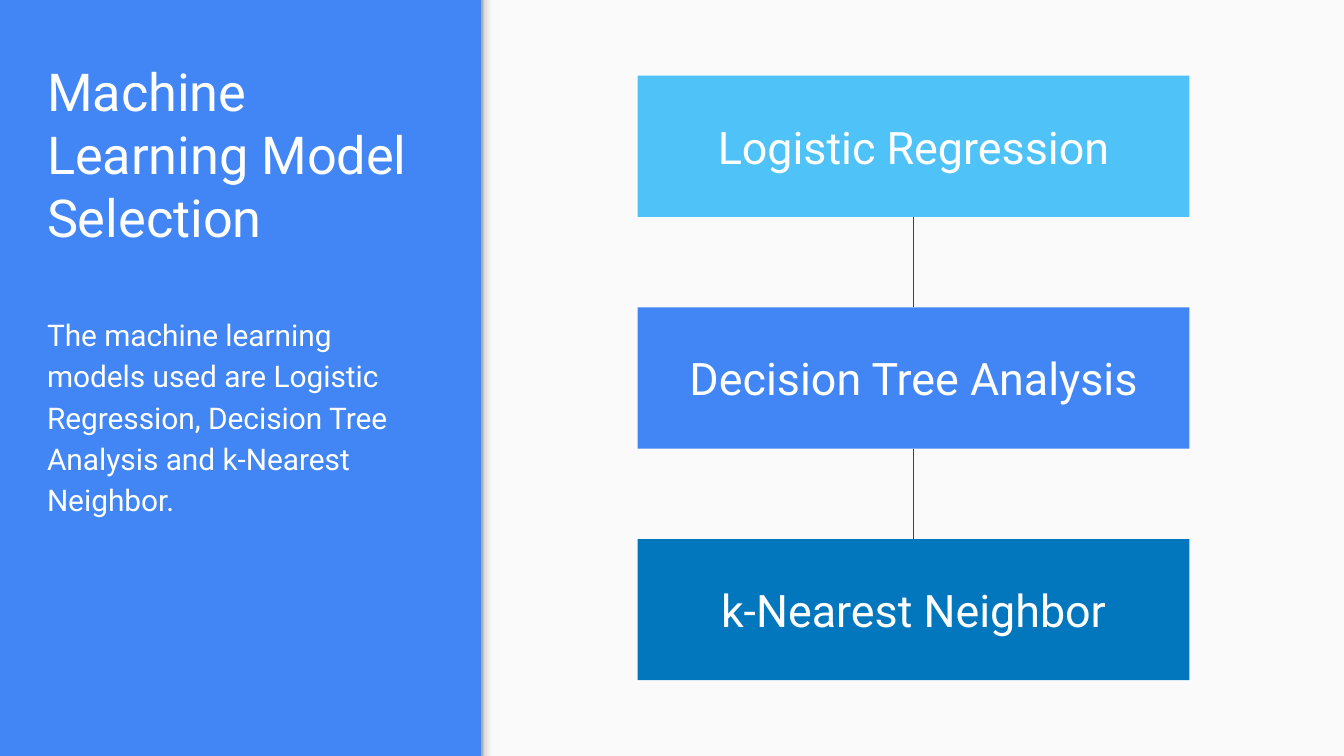
import pptx
import pptx.dml.color
import pptx.enum.shapes
import pptx.enum.text
import pptx.oxml
import pptx.oxml.ns
import pptx.util
from lxml import etree

Cm = pptx.util.Cm
Pt = pptx.util.Pt
RGBColor = pptx.dml.color.RGBColor
Anchor = pptx.enum.text.MSO_ANCHOR
Align = pptx.enum.text.PP_ALIGN
qn = pptx.oxml.ns.qn

BLUE = RGBColor(0x42, 0x85, 0xF4)
LIGHT_BLUE = RGBColor(0x4F, 0xC3, 0xF7)
DARK_BLUE = RGBColor(0x02, 0x77, 0xBD)
PAPER = RGBColor(0xFA, 0xFA, 0xFA)
WHITE = RGBColor(0xFF, 0xFF, 0xFF)
CHARCOAL = RGBColor(0x42, 0x42, 0x42)
EDGE_NEAR = RGBColor(0x99, 0x99, 0x99)
EDGE_MID = RGBColor(0xDE, 0xDE, 0xDE)
EDGE_FAR = RGBColor(0xF9, 0xF9, 0xF9)

WIDTH, HEIGHT = 25.4, 14.29
PANEL_WIDTH = 9.1
MODEL_LEFT, MODEL_TOP = 12.05, 1.43
MODEL_WIDTH, MODEL_HEIGHT = 10.43, 2.67
MODEL_PITCH = 4.38


class SlideBuilder:
    font = "Roboto"
    inset = Cm(0.25)

    def __init__(self, slide):
        self.slide = slide

    def background(self, color):
        fill = self.slide.background.fill
        fill.solid()
        fill.fore_color.rgb = color

    def rectangle(self, left, top, width, height, color):
        box = self.slide.shapes.add_shape(
            pptx.enum.shapes.MSO_SHAPE.RECTANGLE,
            Cm(left), Cm(top), Cm(width), Cm(height))
        box.shadow.inherit = False
        box.fill.solid()
        box.fill.fore_color.rgb = color
        box.line.fill.background()
        return box

    def gradient_strip(self, left, top, width, height, stops):
        strip = self.rectangle(left, top, width, height, stops[0][1])
        strip.fill.gradient()
        strip.fill.gradient_angle = 0
        stop_list = strip.element.spPr.find(".//" + qn("a:gsLst"))
        for default_stop in list(stop_list):
            stop_list.remove(default_stop)
        for percent, color in stops:
            stop = etree.SubElement(stop_list, qn("a:gs"), pos=str(percent * 1000))
            etree.SubElement(stop, qn("a:srgbClr"), val=str(color))

    def set_text(self, box, text, size, anchor, align=Align.LEFT):
        frame = box.text_frame
        frame.word_wrap = True
        frame.vertical_anchor = anchor
        frame.margin_left = frame.margin_right = self.inset
        frame.margin_top = frame.margin_bottom = self.inset
        paragraph = frame.paragraphs[0]
        paragraph.text = text
        paragraph.alignment = align
        paragraph.font.name = self.font
        paragraph.font.size = Pt(size)
        paragraph.font.color.rgb = WHITE
        return paragraph

    def text(self, left, top, width, height, text, size, anchor):
        box = self.slide.shapes.add_textbox(Cm(left), Cm(top), Cm(width), Cm(height))
        return self.set_text(box, text, size, anchor)

    def model(self, top, name, color):
        box = self.rectangle(MODEL_LEFT, top, MODEL_WIDTH, MODEL_HEIGHT, color)
        self.set_text(box, name, 24, Anchor.MIDDLE, Align.CENTER)
        return box

    def link(self, upper, lower):
        line = self.slide.shapes.add_connector(
            pptx.enum.shapes.MSO_CONNECTOR.STRAIGHT, 0, 0, 0, 0)
        line.begin_connect(upper, 2)
        line.end_connect(lower, 0)
        line.line.color.rgb = CHARCOAL
        line.line.width = Pt(0.75)
        etree.SubElement(line.element.spPr, qn("a:effectLst"))


def main():
    deck = pptx.Presentation()
    deck.slide_width, deck.slide_height = Cm(WIDTH), Cm(HEIGHT)
    builder = SlideBuilder(deck.slides.add_slide(deck.slide_layouts[6]))

    builder.background(BLUE)
    builder.rectangle(PANEL_WIDTH, 0, WIDTH - PANEL_WIDTH, HEIGHT, PAPER)
    builder.gradient_strip(PANEL_WIDTH, 0, 0.3, HEIGHT, [
        (0, EDGE_NEAR), (20, EDGE_MID), (64, EDGE_FAR), (100, EDGE_FAR)])

    builder.text(0.64, 1, 7.8, 3.93, "Machine Learning Model Selection", 28, Anchor.BOTTOM)
    summary = builder.text(
        0.64, 5.64, 7.8, 7.5,
        "The machine learning models used are Logistic Regression, "
        "Decision Tree Analysis and k-Nearest Neighbor.", 16, Anchor.TOP)
    summary.line_spacing = 1.15
    summary.space_after = Pt(16)

    models = [
        ("Logistic Regression", LIGHT_BLUE),
        ("Decision Tree Analysis", BLUE),
        ("k-Nearest Neighbor", DARK_BLUE),
    ]
    boxes = [builder.model(MODEL_TOP + row * MODEL_PITCH, name, color)
             for row, (name, color) in enumerate(models)]
    for upper, lower in zip(boxes, boxes[1:]):
        builder.link(upper, lower)

    deck.save("out.pptx")


if __name__ == "__main__":
    main()
